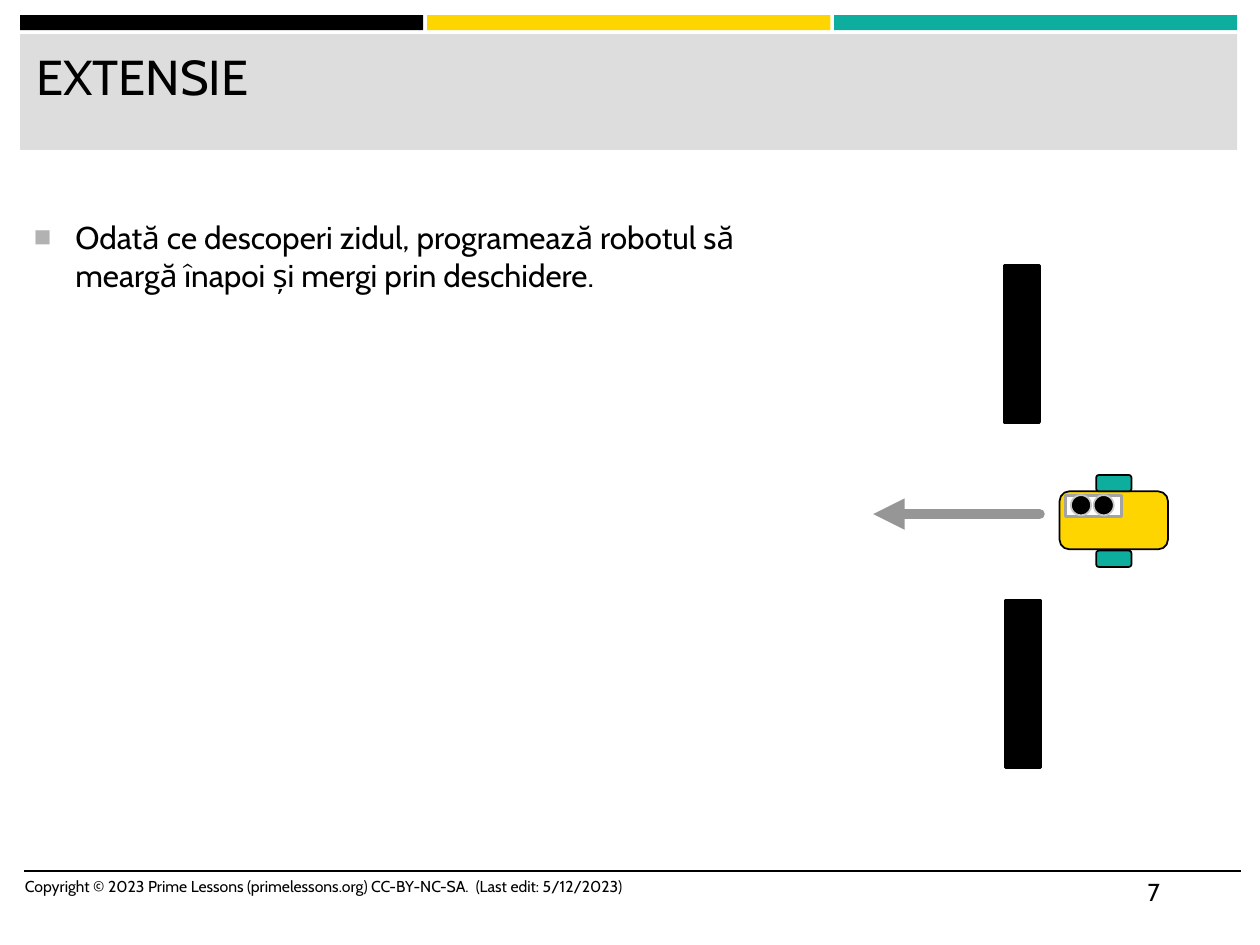
from lxml import etree
from pptx import Presentation
from pptx.dml.color import RGBColor
from pptx.enum import shapes, text
from pptx.oxml import ns
from pptx.util import Inches, Pt

BLACK = RGBColor(0x00, 0x00, 0x00)
WHITE = RGBColor(0xFF, 0xFF, 0xFF)
YELLOW = RGBColor(0xFF, 0xD5, 0x00)
TEAL = RGBColor(0x0E, 0xAE, 0x9F)
BANNER_GRAY = RGBColor(0xDD, 0xDD, 0xDD)
BULLET_GRAY = RGBColor(0xB2, 0xB2, 0xB2)
SENSOR_GRAY = RGBColor(0xA3, 0xA3, 0xA3)
EYE_GRAY = RGBColor(0xC7, 0xC7, 0xC7)
ARROW_GRAY = RGBColor(0x96, 0x96, 0x96)

RECTANGLE = shapes.MSO_SHAPE.RECTANGLE
ROUNDED = shapes.MSO_SHAPE.ROUNDED_RECTANGLE
OVAL = shapes.MSO_SHAPE.OVAL


def add_element(parent, tag, **attributes):
    return etree.SubElement(parent, ns.qn(tag), attributes)


def add_block(container, kind, left, top, width, height, fill, outline=None, weight=1):
    shape = container.shapes.add_shape(
        kind, Inches(left), Inches(top), Inches(width), Inches(height))
    shape.shadow.inherit = False
    shape.fill.solid()
    shape.fill.fore_color.rgb = fill
    if outline is None:
        shape.line.fill.background()
    else:
        shape.line.color.rgb = outline
        shape.line.width = Pt(weight)
    return shape


def add_line(slide, start_x, end_x, y, color, weight, arrow=False):
    line = slide.shapes.add_connector(
        shapes.MSO_CONNECTOR.STRAIGHT, Inches(start_x), Inches(y), Inches(end_x), Inches(y))
    line.line.color.rgb = color
    line.line.width = Pt(weight)
    if arrow:
        outline = line.line._get_or_add_ln()
        outline.set("cap", "rnd")
        add_element(outline, "a:tailEnd", type="triangle")
    add_element(line._element.spPr, "a:effectLst")


def add_bullet(paragraph, indent=0.33):
    properties = paragraph._p.get_or_add_pPr()
    properties.set("marL", str(Inches(indent)))
    properties.set("indent", str(-Inches(indent)))
    color = add_element(properties, "a:buClr")
    add_element(color, "a:srgbClr", val=str(BULLET_GRAY))
    add_element(properties, "a:buSzPct", val="92000")
    add_element(properties, "a:buFont", typeface="Arial")
    add_element(properties, "a:buChar", char="■")


def add_text(slide, content, left, top, width, height, size, bullet=False):
    box = slide.shapes.add_textbox(Inches(left), Inches(top), Inches(width), Inches(height))
    frame = box.text_frame
    frame.word_wrap = True
    frame.vertical_anchor = text.MSO_ANCHOR.TOP
    paragraph = frame.paragraphs[0]
    if bullet:
        add_bullet(paragraph)
    run = paragraph.add_run()
    run.text = content
    run.font.name = "Cabin"
    run.font.size = Pt(size)
    run.font.color.rgb = BLACK


def add_header(slide):
    for index, color in enumerate((BLACK, YELLOW, TEAL)):
        add_block(slide, RECTANGLE, 0.16 + index * 3.23, 0.12, 3.2, 0.12, color)
    add_block(slide, RECTANGLE, 0.16, 0.27, 9.66, 0.92, BANNER_GRAY)
    add_text(slide, "EXTENSIE", 0.19, 0.32, 9.57, 0.82, size=28)


def add_footer(slide):
    add_line(slide, 0.19, 9.85, 6.91, BLACK, 1)
    add_text(slide, "Copyright © 2023 Prime Lessons (primelessons.org) CC-BY-NC-SA.  "
             "(Last edit: 5/12/2023)", 0.1, 6.91, 5.33, 0.4, size=9)
    add_text(slide, "7", 9.01, 6.91, 0.84, 0.4, size=14)


def add_robot(slide):
    robot = slide.shapes.add_group_shape()
    add_block(robot, ROUNDED, 8.41, 3.9, 0.86, 0.46, YELLOW, BLACK)
    for top in (3.77, 4.37):
        add_block(robot, ROUNDED, 8.7, top, 0.28, 0.13, TEAL, BLACK)
    add_block(robot, RECTANGLE, 8.46, 3.93, 0.44, 0.17, WHITE, SENSOR_GRAY, 1.75)
    for left in (8.5, 8.68):
        add_block(robot, OVAL, left, 3.93, 0.16, 0.16, BLACK, EYE_GRAY)


def main():
    presentation = Presentation()
    presentation.slide_width = Inches(10)
    presentation.slide_height = Inches(7.5)
    slide = presentation.slides.add_slide(presentation.slide_layouts[6])

    add_header(slide)
    add_footer(slide)
    add_text(slide, "Odată ce descoperi zidul, programează robotul să meargă înapoi "
             "și mergi prin deschidere.", 0.17, 1.68, 6.47, 5.13, size=18, bullet=True)
    for left, top, height in ((7.97, 2.11, 1.24), (7.98, 4.77, 1.32)):
        add_block(slide, RECTANGLE, left, top, 0.28, height, BLACK, BLACK, 1.75)
    add_robot(slide)
    add_line(slide, 8.25, 6.93, 4.08, ARROW_GRAY, 6, arrow=True)

    presentation.save("out.pptx")


if __name__ == "__main__":
    main()
